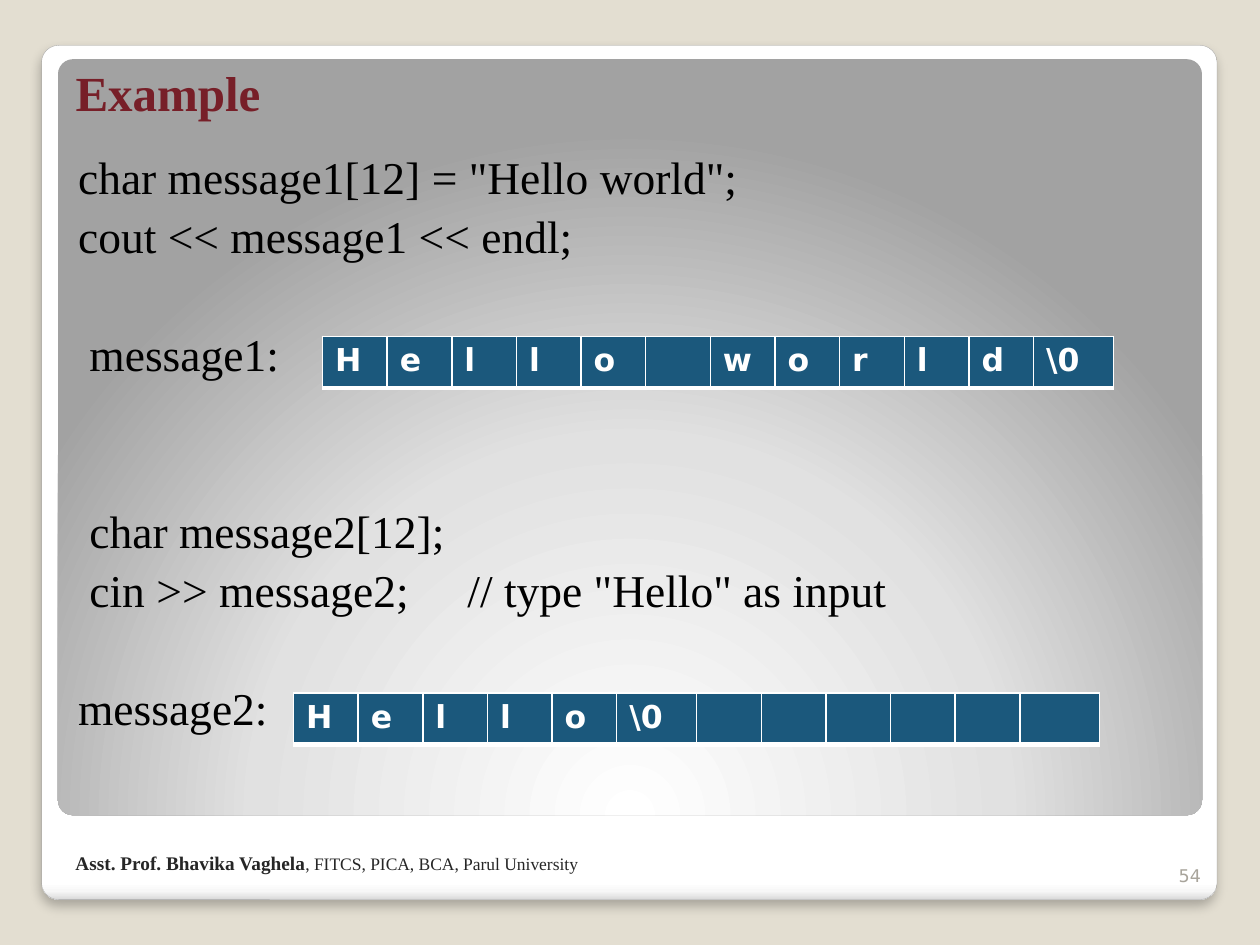
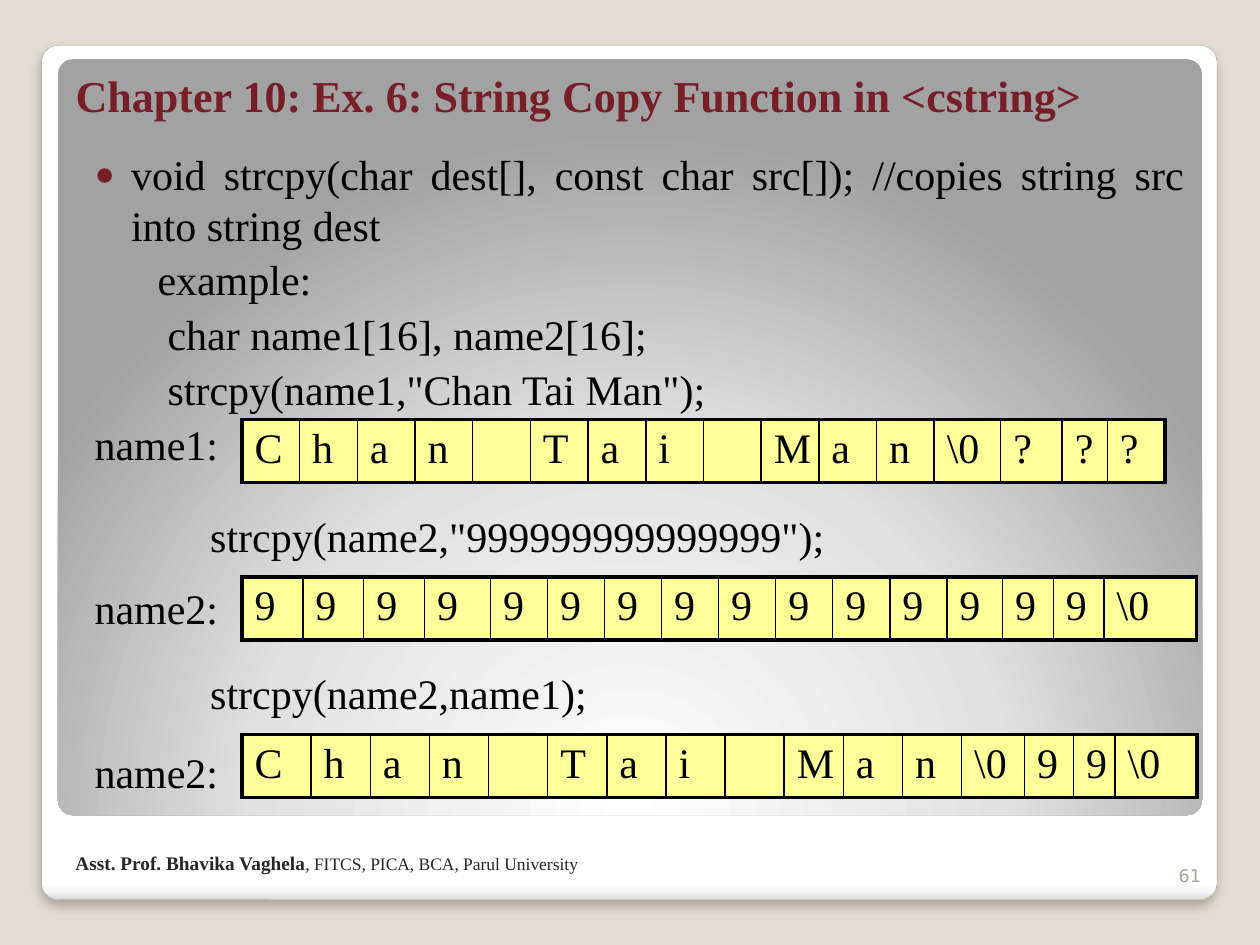
from dataclasses import dataclass

from pptx import Presentation
from pptx.dml.color import RGBColor
from pptx.enum.shapes import MSO_SHAPE
from pptx.enum.text import MSO_ANCHOR, MSO_AUTO_SIZE, PP_ALIGN
from pptx.oxml import parse_xml
from pptx.oxml.ns import nsdecls
from pptx.util import Inches, Pt


@dataclass(frozen=True)
class Theme:
    """Colours, fonts and type sizes shared by the slides."""
    backdrop: str = "E3DED1"
    frame_line: str = "A4A4A4"
    frame_stops: tuple = ((0, "FFFFFF"), (98, "FFFFFF"), (99, "F7F7F7"), (100, "DADADA"))
    panel_stops: tuple = ((0, "FFFFFF"), (55, "E1E1E1"), (100, "A2A2A2"))
    accent: str = "771F28"
    ink: str = "000000"
    footer: str = "262626"
    number: str = "A8A49B"
    serif: str = "Times New Roman"
    sans: str = "DejaVu Sans"
    code_size: float = 24
    paragraph_gap: float = 2.5
    line_factor: float = 1.2


@dataclass(frozen=True)
class CellStyle:
    """Look of one kind of character table."""
    fill: str
    border: str
    font: dict
    top: float
    bottom: float
    side: float


THEME = Theme()
NAVY_CELLS = CellStyle("1B587C", "FFFFFF", dict(name=THEME.sans, size=18, color="FFFFFF", bold=True), 1, 3, 1)
YELLOW_CELLS = CellStyle("FFFF99", "000000", dict(name=THEME.serif, size=24, color=THEME.ink), 2.25, 2.25, 2.25)
CODE = dict(name=THEME.serif, size=THEME.code_size, color=THEME.ink)


def inches(*lengths):
    """Turn numbers into lengths."""
    return [Inches(length) for length in lengths]


def place(shape, box):
    """Move a shape to a box of left, top, width and height."""
    for name, value in zip(("left", "top", "width", "height"), inches(*box)):
        setattr(shape, name, value)


def add_span(para, text, style):
    """Add a run of text in the given font style."""
    span = para.add_run()
    span.text = text
    for name, value in style.items():
        if name == "color":
            span.font.color.rgb = RGBColor.from_string(value)
        else:
            setattr(span.font, name, Pt(value) if name == "size" else value)


def set_frame(shape, **settings):
    """Apply text frame settings, with fixed size and wrapping as defaults."""
    frame = shape.text_frame
    for name, value in (dict(word_wrap=True, auto_size=MSO_AUTO_SIZE.NONE) | settings).items():
        setattr(frame, name, value)
    return frame


def add_label(page, box, spans, anchor=MSO_ANCHOR.TOP, align=PP_ALIGN.LEFT):
    """Add a text box with one paragraph of styled spans."""
    frame = set_frame(page.shapes.add_textbox(*inches(*box)), vertical_anchor=anchor)
    para = frame.paragraphs[0]
    para.alignment = align
    for text, style in spans:
        add_span(para, text, style)


def gradient(stops, direction):
    """Build a gradient fill element."""
    marks = "".join(f'<a:gs pos="{stop * 1000}"><a:srgbClr val="{color}"/></a:gs>' for stop, color in stops)
    return parse_xml(f'<a:gradFill {nsdecls("a")}><a:gsLst>{marks}</a:gsLst>{direction}</a:gradFill>')


def add_panel(page, box, depth, stops, direction):
    """Add a rounded gradient panel at the given depth behind the text."""
    panel = page.shapes.add_shape(MSO_SHAPE.ROUNDED_RECTANGLE, *inches(*box))
    panel.adjustments[0] = 0.02
    panel.shadow.inherit = False
    panel.line.fill.background()
    panel.fill.solid()
    properties = panel._element.spPr
    solid = properties.find("{*}solidFill")
    properties.replace(solid, gradient(stops, direction))
    page.shapes._spTree.insert(depth, panel._element)
    return panel


def add_backdrop(page):
    """Add the white card with its shadow and the grey panel on it."""
    card = add_panel(page, (0.33, 0.36, 9.33, 6.78), 2, THEME.frame_stops, '<a:lin ang="5400000" scaled="0"/>')
    card.line.color.rgb = RGBColor.from_string(THEME.frame_line)
    card.line.width = Pt(0.16)
    card._element.spPr.find("{*}effectLst").append(parse_xml(
        f'<a:outerShdw {nsdecls("a")} blurRad="{Pt(6)}" dist="{Pt(4)}" dir="5400000" rotWithShape="0">'
        '<a:srgbClr val="000000"><a:alpha val="25000"/></a:srgbClr></a:outerShdw>'))
    add_panel(page, (0.46, 0.47, 9.08, 6), 3, THEME.panel_stops,
              '<a:path path="circle"><a:fillToRect l="50000" t="175000" r="50000" b="-75000"/></a:path>')


def add_footer(page, number):
    """Add the author line and the slide number."""
    author = dict(name=THEME.serif, color=THEME.footer)
    add_label(page, (0.5, 6.67, 4.58, 0.32),
              [("Asst. Prof. Bhavika Vaghela", author | dict(size=11, bold=True)),
               (", FITCS, PICA, BCA, Parul University", author | dict(size=10))], MSO_ANCHOR.BOTTOM)
    add_label(page, (9.13, 6.68, 0.5, 0.4),
              [(str(number), dict(name=THEME.sans, size=10, color=THEME.number))],
              MSO_ANCHOR.BOTTOM, PP_ALIGN.RIGHT)


def add_page(deck, title, title_size, number):
    """Add a slide with backdrop, title and footer."""
    page = deck.slides.add_slide(deck.slide_layouts[1])
    add_backdrop(page)
    place(page.shapes.title, (0.5, 0.33, 8.95, 0.68))
    para = set_frame(page.shapes.title, vertical_anchor=MSO_ANCHOR.BOTTOM).paragraphs[0]
    para.alignment = PP_ALIGN.LEFT
    add_span(para, title, dict(name=THEME.serif, size=title_size, color=THEME.accent, bold=True))
    add_footer(page, number)
    return page


def set_bullet(properties, bullet):
    """Give a paragraph a round accent bullet, or none."""
    marks = ["<a:buNone {}/>"]
    if bullet:
        marks = [f'<a:buClr {{}}><a:srgbClr val="{THEME.accent}"/></a:buClr>',
                 '<a:buSzPct {} val="80000"/>', '<a:buChar {} char="●"/>']
    for mark in marks:
        properties.append(parse_xml(mark.format(nsdecls("a"))))


def fill_body(page, box, size, lines):
    """Write lines of text, left indent, skipped rows and bullet into the body."""
    body = page.placeholders[1]
    place(body, box)
    left, top, right, bottom = inches(0.2, 0.1, 0.1, 0.05)
    frame = set_frame(body, vertical_anchor=MSO_ANCHOR.TOP, margin_left=left,
                      margin_top=top, margin_right=right, margin_bottom=bottom)
    line_height = size * THEME.line_factor
    pitch = line_height + THEME.paragraph_gap
    for index, (text, indent, skipped, bullet) in enumerate(lines):
        para = frame.add_paragraph() if index else frame.paragraphs[0]
        para.alignment = PP_ALIGN.JUSTIFY
        para.line_spacing = Pt(line_height)
        para.space_before = Pt(THEME.paragraph_gap + skipped * pitch)
        properties = para._p.get_or_add_pPr()
        properties.set("marL", str(Inches(indent)))
        properties.set("indent", str(Inches(-indent if bullet else 0)))
        set_bullet(properties, bullet)
        if "\t" in text:
            properties.append(parse_xml(
                f'<a:tabLst {nsdecls("a")}><a:tab pos="{Inches(2.89)}" algn="l"/></a:tabLst>'))
        add_span(para, text, CODE | dict(size=size))


def set_border(cell, side, width, color):
    """Draw one side of a cell."""
    cell._tc.get_or_add_tcPr().append(parse_xml(
        f'<a:ln{side} {nsdecls("a")} w="{Pt(width)}"><a:solidFill><a:srgbClr val="{color}"/></a:solidFill></a:ln{side}>'))


def add_character_table(page, box, characters, widths, style):
    """Add a one-row table of characters whose columns fill the box."""
    left, top, width, height = box
    table = page.shapes.add_table(1, len(characters), *inches(*box)).table
    table.first_row = table.horz_banding = False
    table.rows[0].height = Inches(height)
    last = len(characters) - 1
    for index, (character, share) in enumerate(zip(characters, widths)):
        table.columns[index].width = Inches(width * share / sum(widths))
        cell = table.cell(0, index)
        sides = dict(L=1 if index else style.side, R=style.side if index == last else 1,
                     T=style.top, B=style.bottom)
        for side, thickness in sides.items():
            set_border(cell, side, thickness, style.border)
        cell.fill.solid()
        cell.fill.fore_color.rgb = RGBColor.from_string(style.fill)
        if character.strip():
            add_span(cell.text_frame.paragraphs[0], character, style.font)


def build_example(deck):
    """Build the slide on character arrays in memory."""
    page = add_page(deck, "Example", 28, 54)
    fill_body(page, (0.42, 1.08, 8.95, 5.67), 26, [
        ('char message1[12] = "Hello world";', 0, 0, False),
        ("cout << message1 << endl;", 0, 0, False),
        ("message1:", 0.09, 1, False),
        ("char message2[12];", 0.09, 2, False),
        ('cin >> message2;\t// type "Hello" as input', 0.09, 0, False),
        ("message2:", 0, 1, False)])
    add_character_table(page, (2.56, 2.67, 6.28, 0.41), [*"Hello world", "\\0"],
                        [0.51] * 11 + [0.63], NAVY_CELLS)
    add_character_table(page, (2.33, 5.5, 6.4, 0.41), [*"Hello", "\\0", *" " * 6],
                        [0.51] * 5 + [0.63] + [0.51] * 5 + [0.63], NAVY_CELLS)


def build_string_copy(deck):
    """Build the slide on strcpy."""
    page = add_page(deck, "Chapter 10: Ex. 6: String Copy Function in <cstring>", 25.2, 61)
    fill_body(page, (0.55, 1.08, 8.95, 5.67), THEME.code_size, [
        ("void strcpy(char dest[], const char src[]); //copies string src into string dest", 0.29, 0, True),
        ("example:", 0.5, 0, False),
        ("char name1[16], name2[16];", 0.58, 0, False),
        ('strcpy(name1,"Chan Tai Man");', 0.58, 0, False),
        ("name1:", 0, 0, False),
        ("name2:", 0, 2, False),
        ("name2:", 0, 2, False)])
    calls = ['strcpy(name2,"999999999999999");', "strcpy(name2,name1);"]
    for index, call in enumerate(calls):
        add_label(page, (1.57, 4 + 1.25 * index, 6.92, 0.5), [(call, CODE)])
    name = [*"Chan Tai Man", "\\0"]
    tables = [
        (7.33, name + [*"???"], [0.46] * 12 + [0.53, 0.49, 0.36, 0.46]),
        (7.58, [*"9" * 15, "\\0"], [0.48] * 3 + [0.52] + [0.45] * 8 + [0.44, 0.4, 0.4, 0.73]),
        (7.58, name + [*"99", "\\0"], [0.55] + [0.47] * 11 + [0.5, 0.39, 0.33, 0.65])]
    for index, (width, characters, widths) in enumerate(tables):
        add_character_table(page, (1.92, 3.33 + 1.25 * index, width, 0.5), characters, widths, YELLOW_CELLS)


def main():
    """Build and save the deck."""
    deck = Presentation()
    deck.slide_width, deck.slide_height = inches(10, 7.5)
    fill = deck.slide_master.background.fill
    fill.solid()
    fill.fore_color.rgb = RGBColor.from_string(THEME.backdrop)
    build_example(deck)
    build_string_copy(deck)
    deck.save("out.pptx")


if __name__ == "__main__":
    main()
